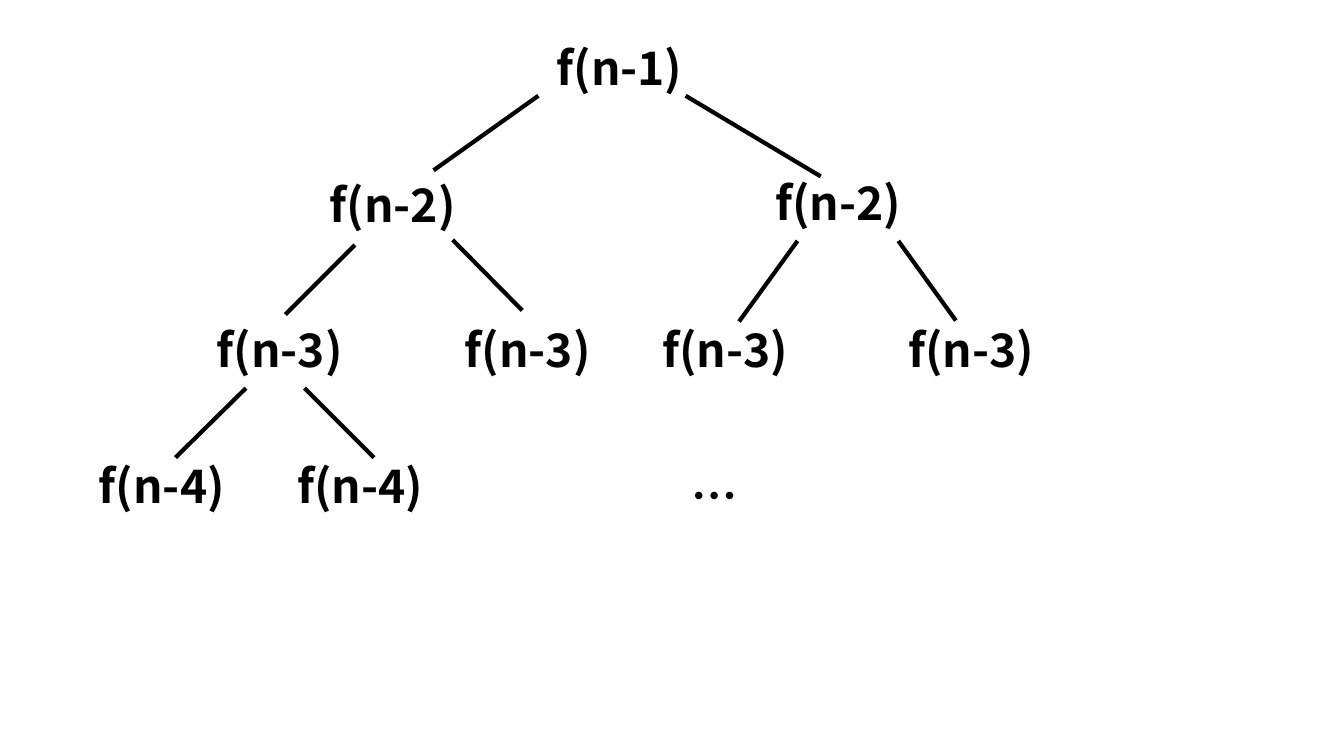
from dataclasses import dataclass

from lxml.etree import SubElement
from pptx import Presentation
from pptx.dml.color import RGBColor
from pptx.enum.shapes import MSO_CONNECTOR
from pptx.enum.text import MSO_AUTO_SIZE
from pptx.oxml.ns import qn
from pptx.slide import Slide
from pptx.util import Inches, Pt

COLORS = {"ink": "000000"}
FONT = "Noto Sans CJK KR"


@dataclass
class Node:
    text: str
    left: float
    top: float
    width: float = 2.25


@dataclass
class Branch:
    x1: float
    y1: float
    x2: float
    y2: float


NODES = [
    Node("f(n-1)", 5.42, 0.39),
    Node("f(n-2)", 3.17, 1.75),
    Node("f(n-2)", 7.59, 1.73),
    *(Node("f(n-3)", left, 3.19) for left in (2.05, 4.51, 6.47, 8.91)),
    *(Node("f(n-4)", left, 4.54) for left in (0.88, 2.85)),
    Node("…", 6.76, 4.64, 1.22),
]

BRANCHES = [
    Branch(5.34, 0.95, 4.3, 1.69),
    Branch(6.8, 0.95, 8.14, 1.75),
    Branch(3.52, 2.43, 2.83, 3.12),
    Branch(4.49, 2.38, 5.18, 3.08),
    Branch(7.91, 2.39, 7.33, 3.19),
    Branch(8.91, 2.39, 9.48, 3.18),
    Branch(2.44, 3.85, 1.74, 4.54),
    Branch(3.02, 3.85, 3.71, 4.54),
]


def add_node(slide: Slide, node: Node) -> None:
    box = slide.shapes.add_textbox(
        Inches(node.left), Inches(node.top), Inches(node.width), Inches(0.66)
    )
    frame = box.text_frame
    frame.word_wrap = True
    frame.auto_size = MSO_AUTO_SIZE.SHAPE_TO_FIT_TEXT
    frame.margin_top = frame.margin_bottom = 0
    para = frame.paragraphs[0]
    para.text = node.text
    font = para.font
    font.name = FONT
    font.size = Pt(33)
    font.bold = True
    font.color.rgb = RGBColor.from_string(COLORS["ink"])
    # The ellipsis takes the East Asian font
    SubElement(font._element, qn("a:ea"), typeface=FONT)


def add_branch(slide: Slide, branch: Branch) -> None:
    line = slide.shapes.add_connector(
        MSO_CONNECTOR.STRAIGHT,
        Inches(branch.x1), Inches(branch.y1),
        Inches(branch.x2), Inches(branch.y2),
    )
    line.line.color.rgb = RGBColor.from_string(COLORS["ink"])
    line.line.width = Pt(3)
    SubElement(line._element.spPr, qn("a:effectLst"))


def main() -> None:
    deck = Presentation()
    deck.slide_width = Inches(13.33)
    deck.slide_height = Inches(7.5)
    slide = deck.slides.add_slide(deck.slide_layouts[6])
    for node in NODES:
        add_node(slide, node)
    for branch in BRANCHES:
        add_branch(slide, branch)
    deck.save("out.pptx")


if __name__ == "__main__":
    main()
